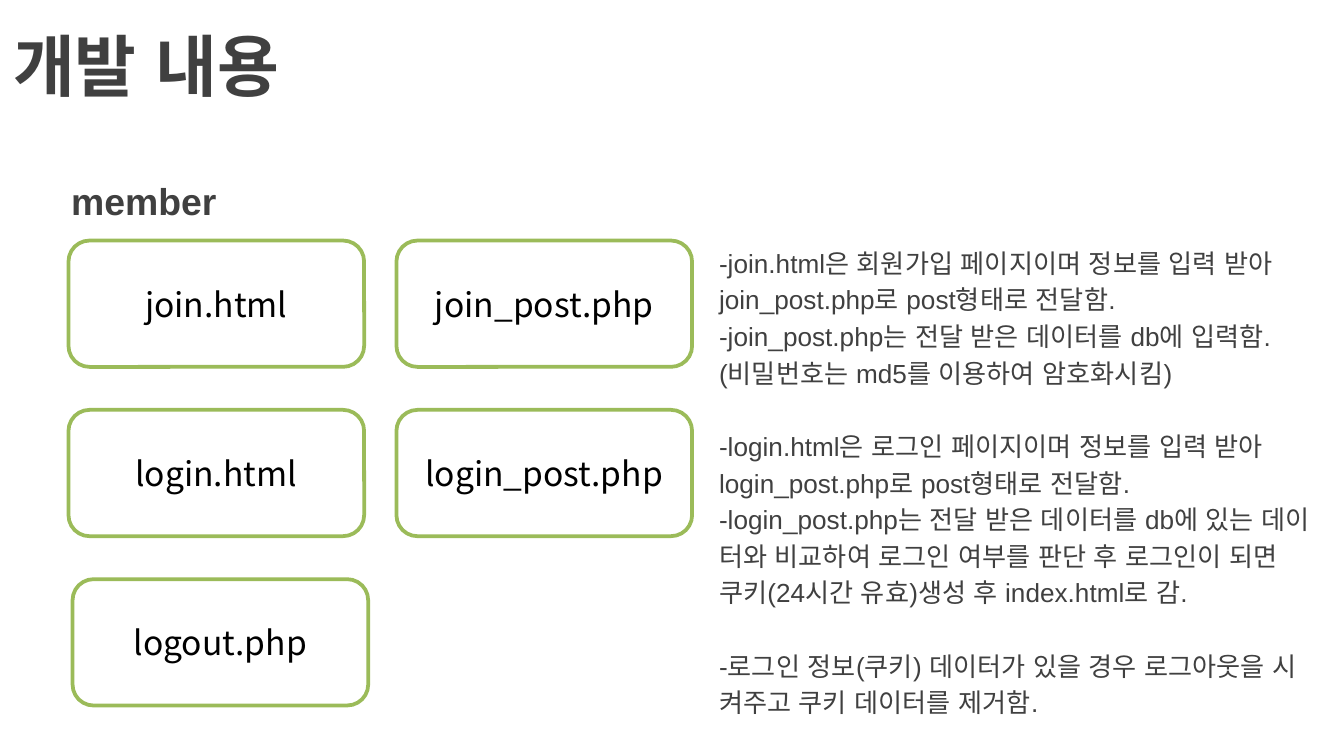
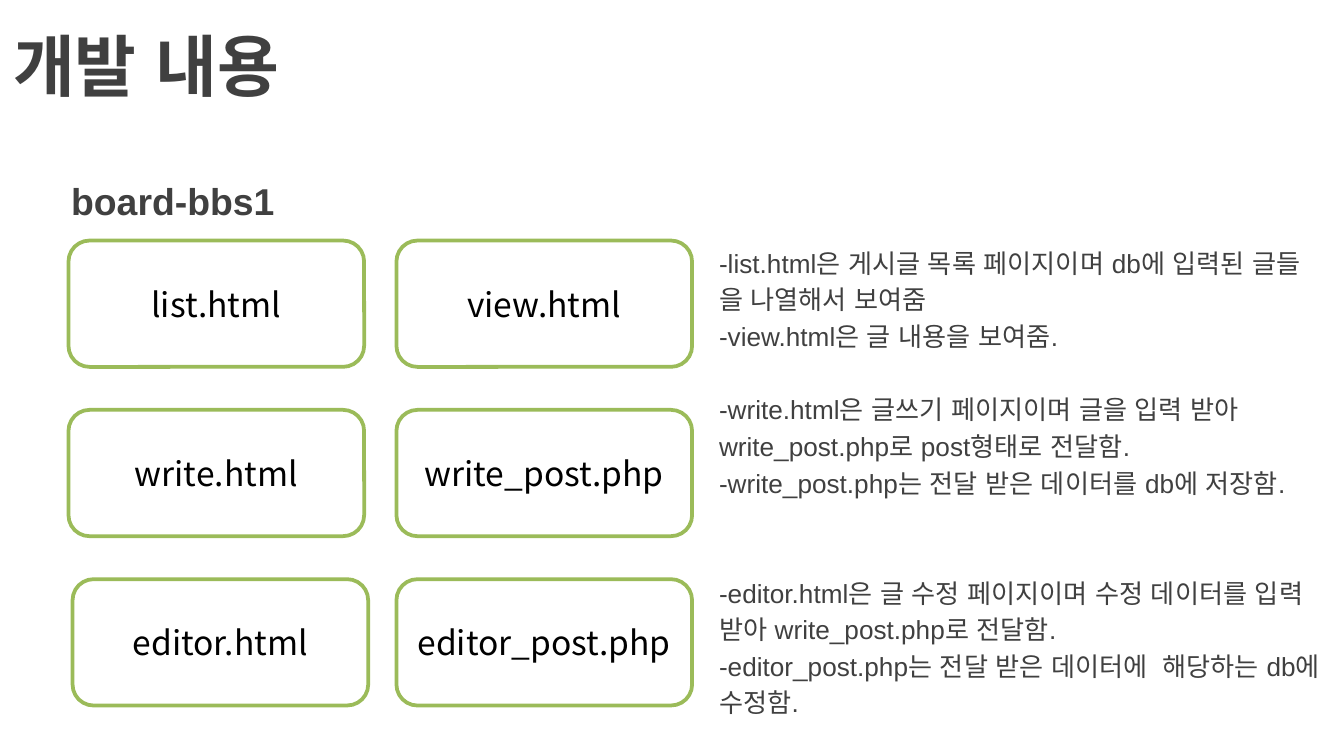
"""Build two slides that describe the pages of the member and board modules."""
import pptx
import pptx.dml.color
import pptx.enum.shapes
import pptx.enum.text
import pptx.oxml.ns
import pptx.util

Pt = pptx.util.Pt
MIDDLE = pptx.enum.text.MSO_ANCHOR.MIDDLE
COLOURS = {"text": "404040", "label": "000000", "outline": "9BBB59", "card": "FFFFFF"}
TITLE = {"size": Pt(36), "bold": True, "name": "Arial"}
HEADING = {"size": Pt(20), "bold": True, "name": "Arial"}
NOTE = {"size": Pt(14), "bold": False, "name": "Arial"}
LABEL = {"size": Pt(18), "bold": False, "name": "Noto Sans CJK KR"}

CARD_LEFTS = [36.7, 212.4]
CARD_TOP, CARD_STEP = 128.9, 90.7
CARD_WIDTH, CARD_HEIGHT = 158.4, 67.7
LAST_ROW_SHIFT = 2.2
LINE_PITCH, LINE_GAP = 19.65, 2.8

MODULES = [
    {
        "heading": "member",
        "cards": [["join.html", "join_post.php"], ["login.html", "login_post.php"], ["logout.php"]],
        "gaps": [0, 1, 1],
        "notes": [
            [
                "-join.html은 회원가입 페이지이며 정보를 입력 받아",
                "join_post.php로 post형태로 전달함.",
                "-join_post.php는 전달 받은 데이터를 db에 입력함.",
                "(비밀번호는 md5를 이용하여 암호화시킴)",
            ],
            [
                "-login.html은 로그인 페이지이며 정보를 입력 받아",
                "login_post.php로 post형태로 전달함.",
                "-login_post.php는 전달 받은 데이터를 db에 있는 데이",
                "터와 비교하여 로그인 여부를 판단 후 로그인이 되면",
                "쿠키(24시간 유효)생성 후 index.html로 감.",
            ],
            [
                "-로그인 정보(쿠키) 데이터가 있을 경우 로그아웃을 시",
                "켜주고 쿠키 데이터를 제거함.",
            ],
        ],
    },
    {
        "heading": "board-bbs1",
        "cards": [
            ["list.html", "view.html"],
            ["write.html", "write_post.php"],
            ["editor.html", "editor_post.php"],
        ],
        "gaps": [0, 1, 2],
        "notes": [
            [
                "-list.html은 게시글 목록 페이지이며 db에 입력된 글들",
                "을 나열해서 보여줌",
                "-view.html은 글 내용을 보여줌.",
            ],
            [
                "-write.html은 글쓰기 페이지이며 글을 입력 받아",
                "write_post.php로 post형태로 전달함.",
                "-write_post.php는 전달 받은 데이터를 db에 저장함.",
            ],
            [
                "-editor.html은 글 수정 페이지이며 수정 데이터를 입력",
                "받아 write_post.php로 전달함.",
                "-editor_post.php는 전달 받은 데이터에  해당하는 db에",
                "수정함.",
            ],
        ],
    },
]


def write(para, text, style, colour):
    """Add one styled span to a paragraph."""
    span = para.add_run()
    span.text = text
    for key, value in style.items():
        setattr(span.font, key, value)
    span.font.color.rgb = pptx.dml.color.RGBColor.from_string(COLOURS[colour])
    east_asian = span.font._element.makeelement(
        pptx.oxml.ns.qn("a:ea"), {"typeface": style["name"]}
    )
    span.font._element.append(east_asian)


def add_text_box(page, left, top, width, height):
    """Add an empty wrapping text box and return its text frame."""
    box = page.shapes.add_textbox(Pt(left), Pt(top), Pt(width), Pt(height))
    box.text_frame.word_wrap = True
    return box.text_frame


deck = pptx.Presentation()
deck.slide_width, deck.slide_height = Pt(720), Pt(405)

for module in MODULES:
    page = deck.slides.add_slide(deck.slide_layouts[6])

    for text, style, area in [
        ("개발 내용", TITLE, (0, 0, 720, 69.8)),
        (module["heading"], HEADING, (31, 89.3, 668.9, 36)),
    ]:
        frame = add_text_box(page, *area)
        frame.vertical_anchor = MIDDLE
        write(frame.paragraphs[0], text, style, "text")

    frame = add_text_box(page, 354.2, 128.9, 481.7, 236.2)
    frame.margin_left = Pt(31)
    para = frame.paragraphs[0]
    for gap, lines in zip(module["gaps"], module["notes"]):
        for index, line in enumerate(lines):
            if para.runs:
                para = frame.add_paragraph()
            skipped = gap if index == 0 else 0
            para.space_before = Pt(LINE_GAP + skipped * LINE_PITCH)
            write(para, line, NOTE, "text")

    for row, names in enumerate(module["cards"]):
        for column, name in enumerate(names):
            shift = LAST_ROW_SHIFT if (row, column) == (2, 0) else 0
            card = page.shapes.add_shape(
                pptx.enum.shapes.MSO_SHAPE.ROUNDED_RECTANGLE,
                Pt(CARD_LEFTS[column] + shift),
                Pt(CARD_TOP + row * CARD_STEP),
                Pt(CARD_WIDTH),
                Pt(CARD_HEIGHT),
            )
            card.shadow.inherit = False
            card.fill.solid()
            card.fill.fore_color.rgb = pptx.dml.color.RGBColor.from_string(COLOURS["card"])
            card.line.color.rgb = pptx.dml.color.RGBColor.from_string(COLOURS["outline"])
            card.line.width = Pt(2)
            card.text_frame.vertical_anchor = MIDDLE
            para = card.text_frame.paragraphs[0]
            para.alignment = pptx.enum.text.PP_ALIGN.CENTER
            write(para, name, LABEL, "label")

deck.save("out.pptx")
